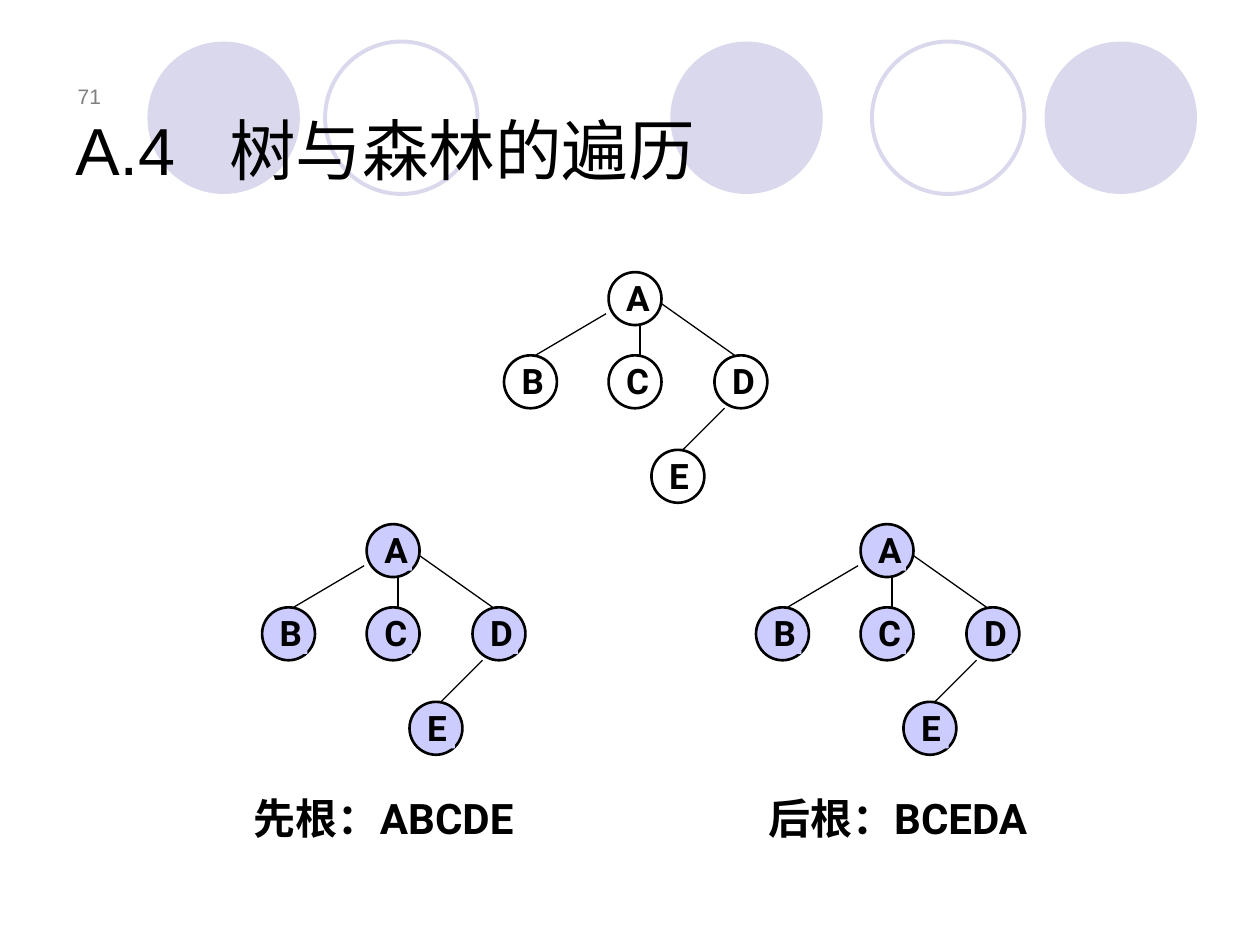
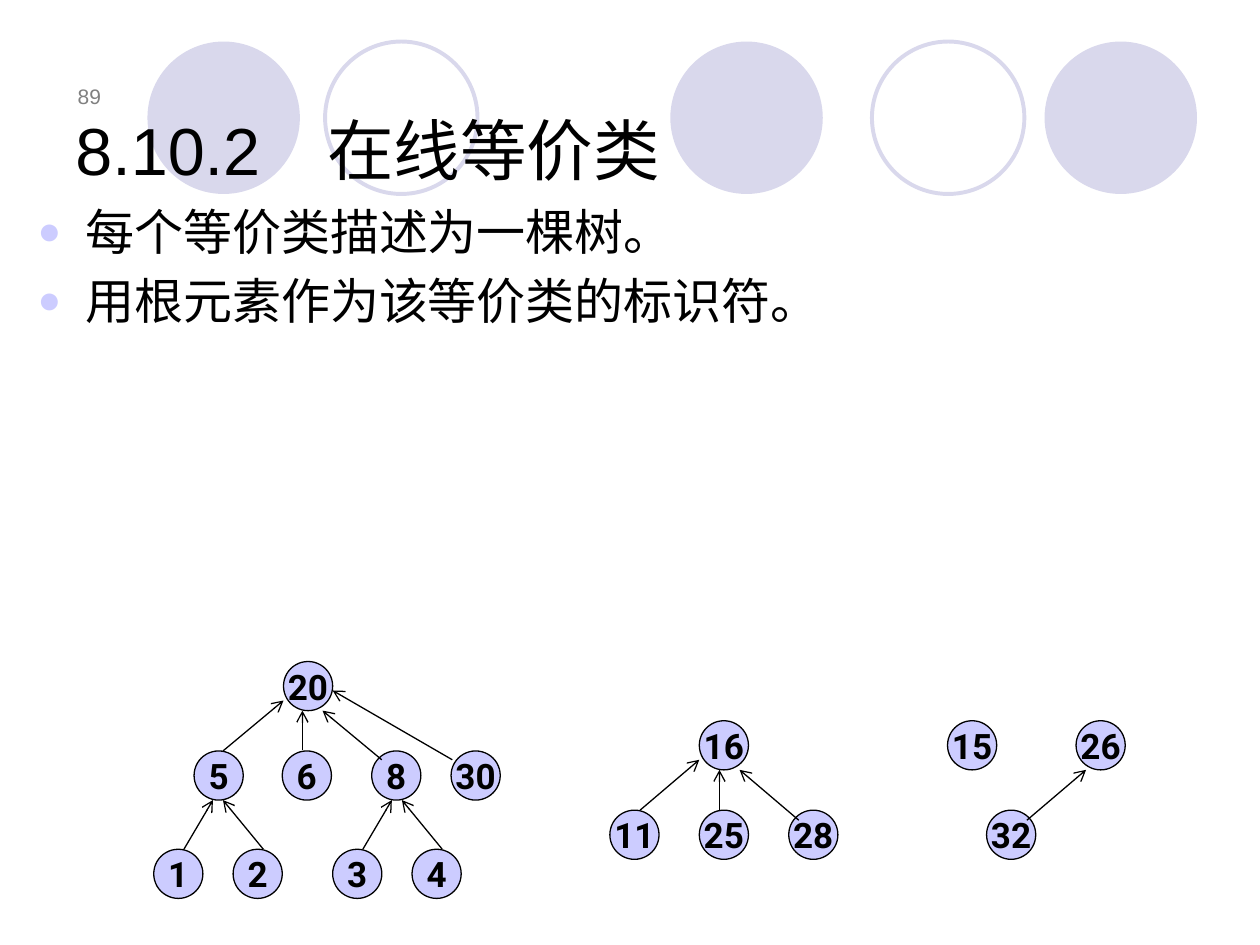
"""Build two slides on tree traversal and online equivalence classes."""
from lxml import etree
from pptx import Presentation
from pptx.dml.color import RGBColor
from pptx.enum.shapes import MSO_CONNECTOR, MSO_SHAPE
from pptx.enum.text import MSO_ANCHOR, PP_ALIGN
from pptx.oxml.ns import qn
from pptx.util import Inches, Pt

LEFT, CENTER, RIGHT = PP_ALIGN.LEFT, PP_ALIGN.CENTER, PP_ALIGN.RIGHT
TOP, MIDDLE, BOTTOM = MSO_ANCHOR.TOP, MSO_ANCHOR.MIDDLE, MSO_ANCHOR.BOTTOM
OVAL, STRAIGHT = MSO_SHAPE.OVAL, MSO_CONNECTOR.STRAIGHT
BLACK, GRAY, BAND, LILAC = "000000", "808080", "D9D8EC", "CCCCFF"
color = RGBColor.from_string


def write(box, text, size=20, font="Roboto", ink=BLACK, bold=False, align=LEFT,
          anchor=TOP, inset=None, wrap=True, spacing=None, tab=None, bullet=None):
    """Fill a shape with text, one paragraph for each line."""
    frame = box.text_frame
    frame.word_wrap = wrap
    frame.vertical_anchor = anchor
    if inset is not None:
        frame.margin_left = frame.margin_right = Inches(inset)
        frame.margin_top = frame.margin_bottom = Inches(inset)
    for index, line in enumerate(text.split("\n")):
        para = frame.add_paragraph() if index else frame.paragraphs[0]
        properties = para._p.get_or_add_pPr()
        if bullet:
            properties.set("marL", str(Inches(0.38)))
            properties.set("indent", str(-Inches(0.38)))
            tint = etree.SubElement(properties, qn("a:buClr"))
            etree.SubElement(tint, qn("a:srgbClr"), val=LILAC)
            etree.SubElement(properties, qn("a:buSzPct"), val="80000")
            etree.SubElement(properties, qn("a:buFont"), typeface="Arial")
            etree.SubElement(properties, qn("a:buChar"), char=bullet)
        if tab:
            stops = etree.SubElement(properties, qn("a:tabLst"))
            etree.SubElement(stops, qn("a:tab"), pos=str(Inches(tab)), algn="l")
        para.alignment = align
        if spacing:
            para.line_spacing = spacing
        if index:
            para.space_before = Pt(5.6)
        span = para.add_run()
        span.text = line
        span.font.size, span.font.name, span.font.bold = Pt(size), font, bold
        span.font.color.rgb = color(ink)


def add_circle(page, left, top, size, fill=None, line=None, width=0.75):
    """Draw a circle with an optional fill and outline."""
    circle = page.shapes.add_shape(OVAL, Inches(left), Inches(top), Inches(size), Inches(size))
    circle.shadow.inherit = False
    if fill:
        circle.fill.solid()
        circle.fill.fore_color.rgb = color(fill)
    else:
        circle.fill.background()
    if line:
        circle.line.color.rgb = color(line)
        circle.line.width = Pt(width)
    else:
        circle.line.fill.background()
    return circle


deck = Presentation()
deck.slide_width, deck.slide_height = Inches(10), Inches(7.5)

pages = []
for number, title, title_tab in [("71", "A.4\t树与森林的遍历", 1.22),
                                 ("89", "8.10.2\t在线等价类", 2)]:
    page = deck.slides.add_slide(deck.slide_layouts[6])
    for left in (5.32, 8.29, 1.17):
        add_circle(page, left, 0.33, 1.21, fill=BAND)
    for left in (6.92, 2.58):
        add_circle(page, left, 0.33, 1.21, line=BAND, width=2.25)
    box = page.shapes.add_textbox(Inches(0.35), Inches(0.44), Inches(0.55), Inches(0.47))
    write(box, number, size=12, font="Arial", ink=GRAY, align=RIGHT, anchor=BOTTOM)
    box = page.shapes.add_textbox(Inches(0.5), Inches(0.3), Inches(9), Inches(1.25))
    write(box, title, size=38, font="Arial", anchor=BOTTOM, tab=title_tab)
    pages.append(page)
traversal, classes = pages

edges = []
tree_nodes = [("A", 0.83, 0), ("B", 0, 0.66), ("C", 0.83, 0.66),
              ("D", 1.67, 0.66), ("E", 1.17, 1.41)]
tree_edges = [(0.81, 0.33, 0.25, 0.66), (1.25, 0.25, 1.83, 0.66),
              (1.08, 0.41, 1.08, 0.66), (1.75, 1.08, 1.42, 1.41)]
for tree_left, tree_top, fill in [(4, 2.16, None), (2.08, 4.16, LILAC), (6, 4.16, LILAC)]:
    for name, across, down in tree_nodes:
        left, top = tree_left + across, tree_top + down
        add_circle(traversal, left, top, 0.42, fill=fill, line=BLACK, width=1.5)
        label = traversal.shapes.add_textbox(
            Inches(left + 0.14), Inches(top + 0.1), Inches(0.22), Inches(0.27))
        if fill:
            label.fill.solid()
            label.fill.fore_color.rgb = color(fill)
        write(label, name, bold=True, inset=0, spacing=0.8)
    for x1, y1, x2, y2 in tree_edges:
        edges.append((traversal, tree_left + x1, tree_top + y1,
                      tree_left + x2, tree_top + y2, False))

for left, order in [(1.42, "先根：ABCDE"), (5.5, "后根：BCEDA")]:
    box = traversal.shapes.add_textbox(Inches(left), Inches(6.32), Inches(3.25), Inches(0.42))
    write(box, order, size=24, bold=True, align=CENTER, spacing=0.8)

box = classes.shapes.add_textbox(Inches(0.2), Inches(1.55), Inches(9.61), Inches(3.7))
write(box, "每个等价类描述为一棵树。\n用根元素作为该等价类的标识符。",
      size=28, font="Times New Roman", bullet="●")

class_rows = [
    (5.25, [("20", 2.25)]),
    (5.72, [("16", 5.55), ("15", 7.52), ("26", 8.54)]),
    (5.96, [("5", 1.54), ("6", 2.24), ("8", 2.95), ("30", 3.58)]),
    (6.43, [("11", 4.84), ("25", 5.55), ("28", 6.26), ("32", 7.83)]),
    (6.74, [("1", 1.22), ("2", 1.85), ("3", 2.64), ("4", 3.27)]),
]
for top, row in class_rows:
    for value, left in row:
        node = add_circle(classes, left, top, 0.39, fill=LILAC, line=BLACK)
        write(node, value, bold=True, align=CENTER, anchor=MIDDLE, wrap=False)

class_edges = [
    (1.77, 5.96, 2.25, 5.56), (2.4, 5.95, 2.4, 5.64),
    (3.03, 6.03, 2.56, 5.64), (3.59, 6.03, 2.64, 5.48),
    (1.46, 6.74, 1.69, 6.35), (2.09, 6.74, 1.77, 6.35),
    (2.88, 6.74, 3.11, 6.35), (3.51, 6.74, 3.19, 6.35),
    (5.08, 6.43, 5.55, 6.03), (5.71, 6.43, 5.71, 6.11),
    (6.34, 6.51, 5.87, 6.11), (8.15, 6.51, 8.62, 6.11),
]
edges += [(classes, *ends, True) for ends in class_edges]

for page, x1, y1, x2, y2, arrow in edges:
    edge = page.shapes.add_connector(STRAIGHT, Inches(x1), Inches(y1), Inches(x2), Inches(y2))
    edge.line.color.rgb = color(BLACK)
    edge.line.width = Pt(0.75)
    if arrow:
        etree.SubElement(edge.line._get_or_add_ln(), qn("a:tailEnd"), type="arrow")
    etree.SubElement(edge._element.spPr, qn("a:effectLst"))

deck.save("out.pptx")
